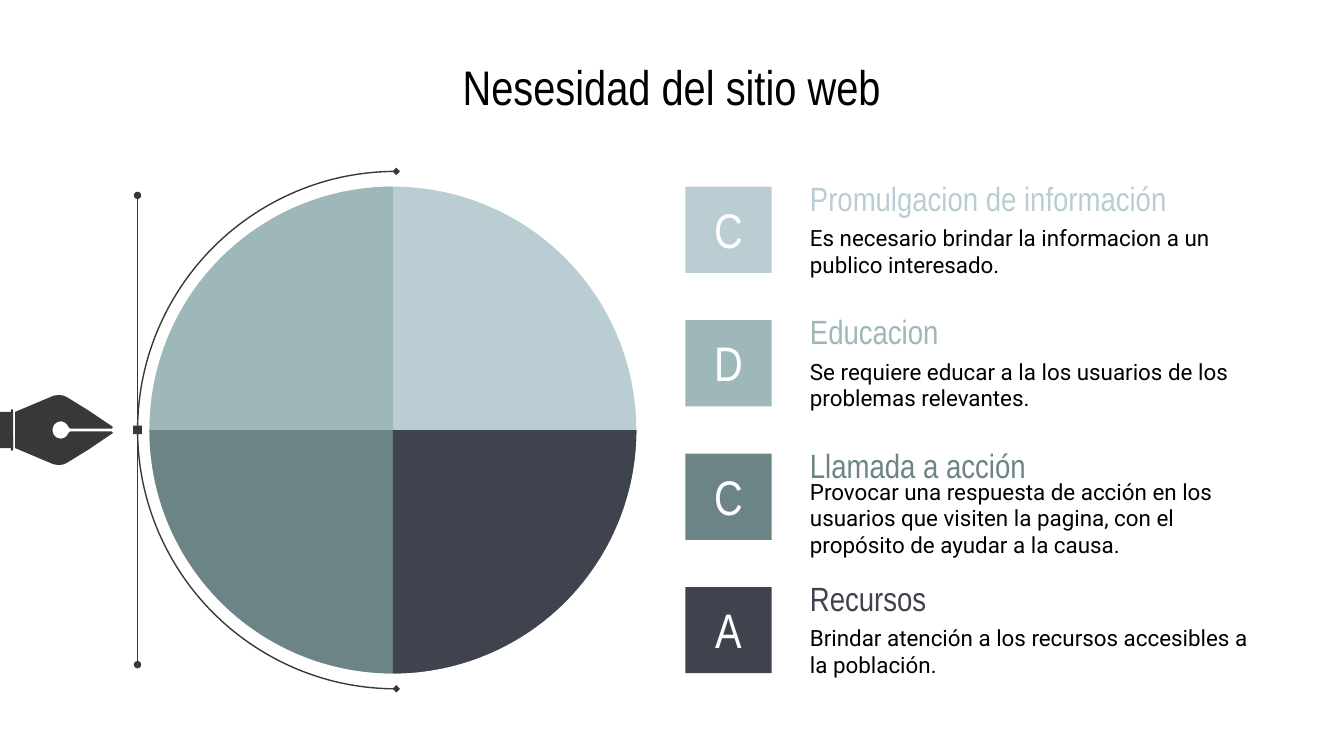
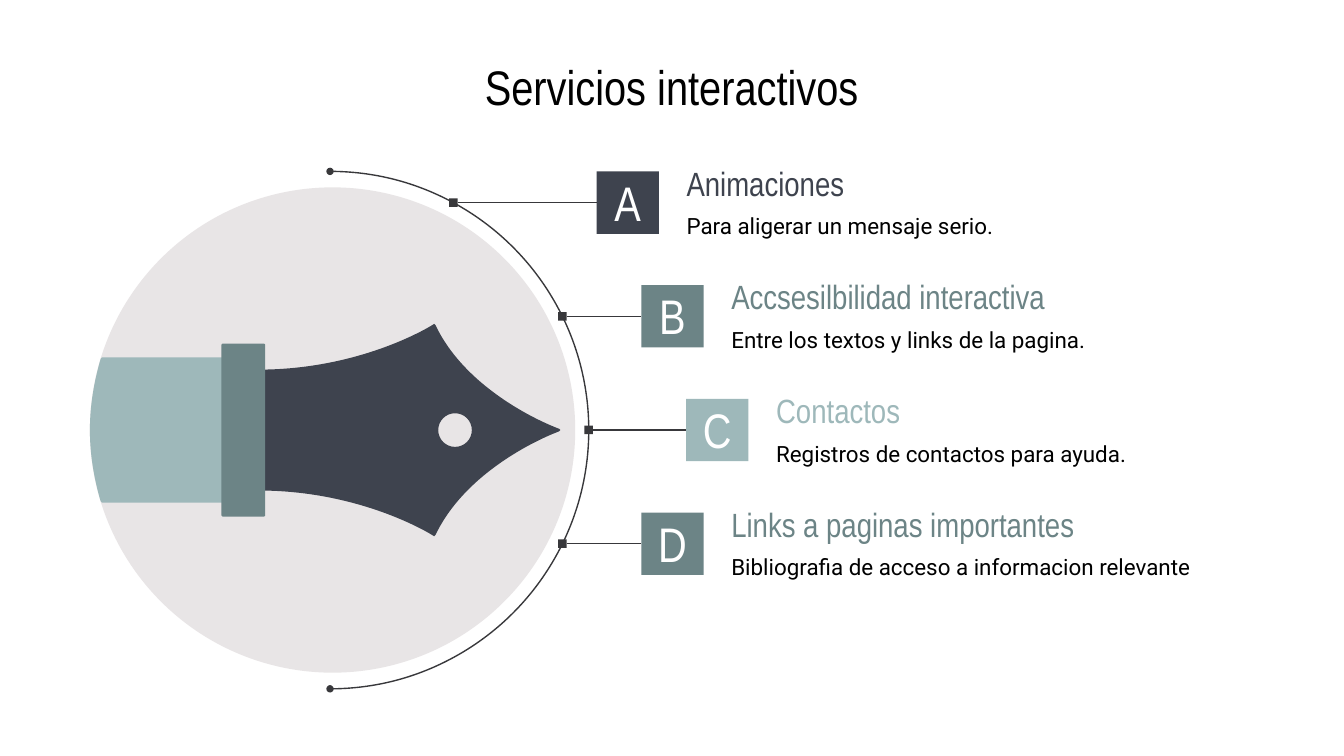
from collections import namedtuple
from dataclasses import dataclass
from math import sqrt

from lxml.etree import SubElement
from pptx import Presentation
from pptx.dml.color import RGBColor
from pptx.enum.shapes import MSO_CONNECTOR, MSO_SHAPE
from pptx.enum.text import MSO_ANCHOR, MSO_AUTO_SIZE, PP_ALIGN
from pptx.oxml.ns import qn
from pptx.util import Pt

Box = namedtuple("Box", "left top width height")


@dataclass(frozen=True)
class Theme:
    ink: str = "38383B"
    black: str = "000000"
    white: str = "FFFFFF"
    disc: str = "E8E5E6"
    pale: str = "B9CDD3"
    sage: str = "9EB8BA"
    teal: str = "6C8486"
    navy: str = "3E434E"
    heading_font: str = "Arial Narrow"
    body_font: str = "Roboto"
    title_size: float = 26
    heading_size: float = 18
    body_size: float = 12
    line_width: float = 0.75
    inset: float = 7.2


THEME = Theme()
TITLE_BOX = Box(32.4, 23.4, 655.2, 45.3)
AXIS = 230.4
ARC_RADIUS = 138.6
MARK = 4.6
HEADING_HEIGHT = 26.6
HEADING_RISE = 7.2

NEEDS = [
    ("C", "Promulgacion de información",
     "Es necesario brindar la informacion a un publico interesado.", THEME.pale),
    ("D", "Educacion",
     "Se requiere educar a la los usuarios de los problemas relevantes.", THEME.sage),
    ("C", "Llamada a acción",
     "Provocar una respuesta de acción en los usuarios que visiten la pagina, "
     "con el propósito de ayudar a la causa.", THEME.teal),
    ("A", "Recursos",
     "Brindar atención a los recursos accesibles a la población.", THEME.navy),
]
SERVICES = [
    ("A", "Animaciones", "Para aligerar un mensaje serio.", THEME.navy),
    ("B", "Accsesilbilidad interactiva", "Entre los textos y links de la pagina.", THEME.teal),
    ("C", "Contactos", "Registros de contactos para ayuda.", THEME.sage),
    ("D", "Links a paginas importantes",
     "Bibliografia de acceso a informacion relevante", THEME.teal),
]

# Upper halves, x from the left and y from the axis: 2 numbers a line, 6 a curve.
SMALL_NIB = [
    (28.1, 0), (28.1, -5, 34.6, -6.5, 36.7, -1.7), (36.7, -1.2, 37.4, -0.7, 38.2, -0.7),
    (59.8, -0.7), (60.5, -1.6), (47.5, -10.4), (36, -17.5),
    (33.8, -18.9, 31.7, -18.9, 28.8, -18.4), (8.1, -9.7),
]
LARGE_NIB = [
    (300.2, 0), (299.5, -0.7), (288, -5, 249.1, -23, 233.3, -56.2), (232.6, -56.9),
    (231.8, -56.2, 195.1, -33.1, 141.1, -32.4), (140.4, -31.7),
]
NIB_HOLE = [
    (234.8, 0), (234.8, -5, 238.8, -9, 243.8, -9), (248.8, -9, 252.8, -5, 252.8, 0),
]
BARREL = [
    (120.2, -38.2), (119.5, -38.9), (54.7, -38.9), (54, -38.2),
    (50.4, -25.9, 48.2, -13, 48.2, 0),
]


def centred(x, y, width, height):
    return Box(x - width / 2, y - height / 2, width, height)


def points(box):
    return [Pt(length) for length in box]


def assign(target, values):
    for name, value in values.items():
        setattr(target, name, value)


def write(shape, text, font, size, color, align=PP_ALIGN.LEFT, bottom=THEME.inset):
    frame = shape.text_frame
    assign(frame, {
        "word_wrap": True, "auto_size": MSO_AUTO_SIZE.NONE,
        "vertical_anchor": MSO_ANCHOR.MIDDLE,
        "margin_left": Pt(THEME.inset), "margin_right": Pt(THEME.inset),
        "margin_top": Pt(THEME.inset), "margin_bottom": Pt(bottom),
    })
    para = frame.paragraphs[0]
    para.alignment = align
    span = para.add_run()
    span.text = text
    assign(span.font, {"name": font, "size": Pt(size), "bold": False})
    span.font.color.rgb = RGBColor.from_string(color)


def paint(shape, color):
    shape.shadow.inherit = False
    shape.fill.solid()
    shape.fill.fore_color.rgb = RGBColor.from_string(color)
    shape.line.fill.background()


def draw(page, kind, box, color, adjustments=()):
    shape = page.shapes.add_shape(kind, *points(box))
    for index, value in enumerate(adjustments):
        shape.adjustments[index] = value
    paint(shape, color)
    return shape


def stroke(shape, end=None):
    """Give a line its ink and, if named, the same small arrowhead at both ends."""
    shape.line.color.rgb = RGBColor.from_string(THEME.ink)
    shape.line.width = Pt(THEME.line_width)
    if end:
        outline = shape.element.spPr.find(qn("a:ln"))
        for tag in ("a:headEnd", "a:tailEnd"):
            SubElement(outline, qn(tag), type=end, w="sm", len="sm")


def connect(page, x1, y1, x2, y2, end=None):
    line = page.shapes.add_connector(MSO_CONNECTOR.STRAIGHT, *points((x1, y1, x2, y2)))
    stroke(line, end)
    SubElement(line.element.spPr, qn("a:effectLst"))


def half_arc(page, centre_x, rotation, end):
    box = centred(centre_x, AXIS, 2 * ARC_RADIUS, 2 * ARC_RADIUS)
    arc = page.shapes.add_shape(MSO_SHAPE.ARC, *points(box))
    arc.adjustments[0], arc.adjustments[1] = 0, 108
    arc.rotation = rotation
    arc.shadow.inherit = False
    arc.fill.background()
    stroke(arc, end)


def pairs(step):
    return list(zip(step[::2], step[1::2]))


def mirror(upper):
    """Complete an upper half with its reflection, walked backwards."""
    x, y = upper[-1][-2:]
    lower = [(x, -y)] if y else []
    for before, step in zip(upper[-2::-1], upper[:0:-1]):
        nodes = pairs(step)[-2::-1] + [before[-2:]]
        lower.append(tuple(value for x, y in nodes for value in (x, -y)))
    return upper + lower


def bend(shape, contours):
    """Join each three segments that stand for a curve into one curve."""
    segments = iter(list(shape.element.iter(qn("a:lnTo"))))
    for step in (step for contour in contours for step in contour[1:]):
        segment = next(segments)
        if len(step) == 6:
            segment.tag = qn("a:cubicBezTo")
            for extra in (next(segments), next(segments)):
                segment.append(extra[0])
                extra.getparent().remove(extra)


def outline_shape(page, halves, color):
    """Draw contours symmetric about the axis as one shape."""
    contours = [mirror(half) for half in halves]
    builder = None
    for contour in contours:
        start, *rest = [(Pt(x), Pt(AXIS + y)) for step in contour for x, y in pairs(step)]
        if builder:
            builder.move_to(*start)
        else:
            builder = page.shapes.build_freeform(*start)
        builder.add_line_segments(rest)
    shape = builder.convert_to_shape()
    bend(shape, contours)
    paint(shape, color)


def titled_page(deck, title):
    page = deck.slides.add_slide(deck.slide_layouts[5])
    left, top, width, height = points(TITLE_BOX)
    assign(page.shapes.title, {"left": left, "top": top, "width": width, "height": height})
    write(page.shapes.title, title, THEME.heading_font, THEME.title_size,
          THEME.black, PP_ALIGN.CENTER)
    return page


def lettered_entry(page, entry, square, text_offset, text_width, body_height):
    """Place a lettered square with a heading and body text to its right."""
    letter, heading, body, color = entry
    left, top = square.left + text_offset, square.top - HEADING_RISE
    for text, box, font, size, ink in (
        (heading, Box(left, top, text_width, HEADING_HEIGHT),
         THEME.heading_font, THEME.heading_size, color),
        (body, Box(left, top + HEADING_HEIGHT, text_width, body_height),
         THEME.body_font, THEME.body_size, THEME.black),
    ):
        write(page.shapes.add_textbox(*points(box)), text, font, size, ink)
    write(draw(page, MSO_SHAPE.RECTANGLE, square, color), letter, THEME.heading_font,
          THEME.title_size, THEME.white, PP_ALIGN.CENTER, bottom=8)


def small_pen(page):
    draw(page, MSO_SHAPE.RECTANGLE, Box(0, AXIS - 9.7, 7, 19.4), THEME.ink)
    outline_shape(page, [SMALL_NIB], THEME.ink)
    draw(page, MSO_SHAPE.ROUNDED_RECTANGLE, Box(5.8, AXIS - 11, 1.2, 22), THEME.ink)


def quarter_disc(page, box):
    draw(page, MSO_SHAPE.OVAL, box, THEME.pale)
    for end_angle, color in ((162, THEME.sage), (108, THEME.teal), (54, THEME.navy)):
        draw(page, MSO_SHAPE.PIE, box, color, (0, end_angle))


def needs_page(deck):
    page = titled_page(deck, "Nesesidad del sitio web")
    arc_x, side, pitch = 212.3, 46.2, 71.5
    handle_x = arc_x - ARC_RADIUS
    small_pen(page)
    half_arc(page, arc_x, 90, "diamond")
    connect(page, handle_x, AXIS - 125.7, handle_x, AXIS + 125.7, "oval")
    draw(page, MSO_SHAPE.RECTANGLE, centred(handle_x, AXIS, MARK, MARK), THEME.ink)
    quarter_disc(page, centred(210.5, AXIS, 260.8, 260.8))
    for row, entry in enumerate(NEEDS):
        square = Box(367.2, 100 + row * pitch, side, side)
        lettered_entry(page, entry, square, 59.6, 260.6, 30.2)


def large_pen(page, disc):
    draw(page, MSO_SHAPE.OVAL, disc, THEME.disc)
    outline_shape(page, [LARGE_NIB, NIB_HOLE], THEME.navy)
    outline_shape(page, [BARREL], THEME.sage)
    draw(page, MSO_SHAPE.ROUNDED_RECTANGLE, centred(130.4, AXIS, 23.4, 92.6),
         THEME.teal, (0.03,))


def services_page(deck):
    page = titled_page(deck, "Servicios interactivos")
    arc_x, side, pitch, shift = 176.8, 33.4, 60.9, 24
    large_pen(page, centred(178.2, AXIS, 260, 260))
    half_arc(page, arc_x, 270, "oval")
    for row, entry in enumerate(SERVICES):
        rise = (row - 2) * pitch
        middle = AXIS + rise
        left = 367.6 - abs(row - 2) * shift
        mark_x = arc_x + sqrt(ARC_RADIUS ** 2 - rise ** 2)
        square = Box(left, middle - side / 2, side, side)
        lettered_entry(page, entry, square, 41.1, 273, 19.4)
        draw(page, MSO_SHAPE.RECTANGLE, centred(mark_x, middle, MARK, MARK), THEME.ink)
        connect(page, mark_x + MARK / 2, middle, left, middle)


def main():
    deck = Presentation()
    deck.slide_width, deck.slide_height = Pt(720), Pt(405)
    needs_page(deck)
    services_page(deck)
    deck.save("out.pptx")


if __name__ == "__main__":
    main()
